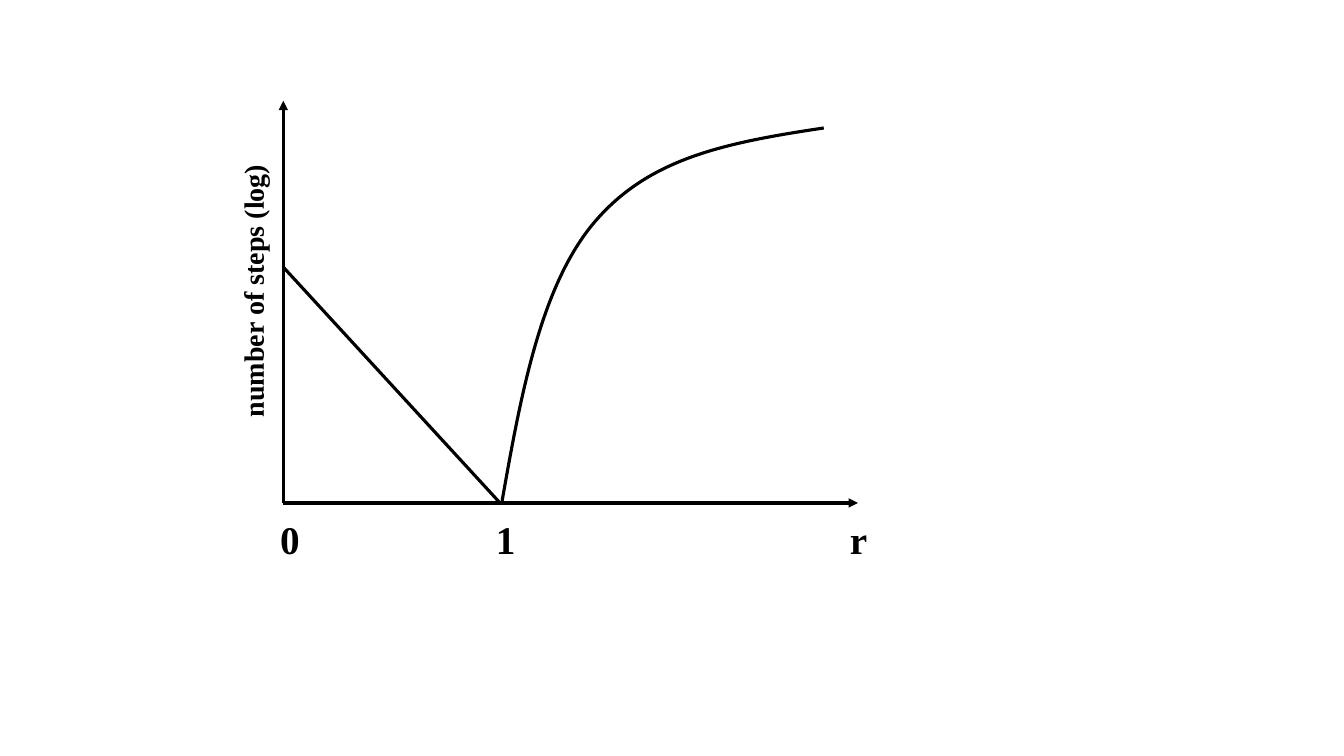
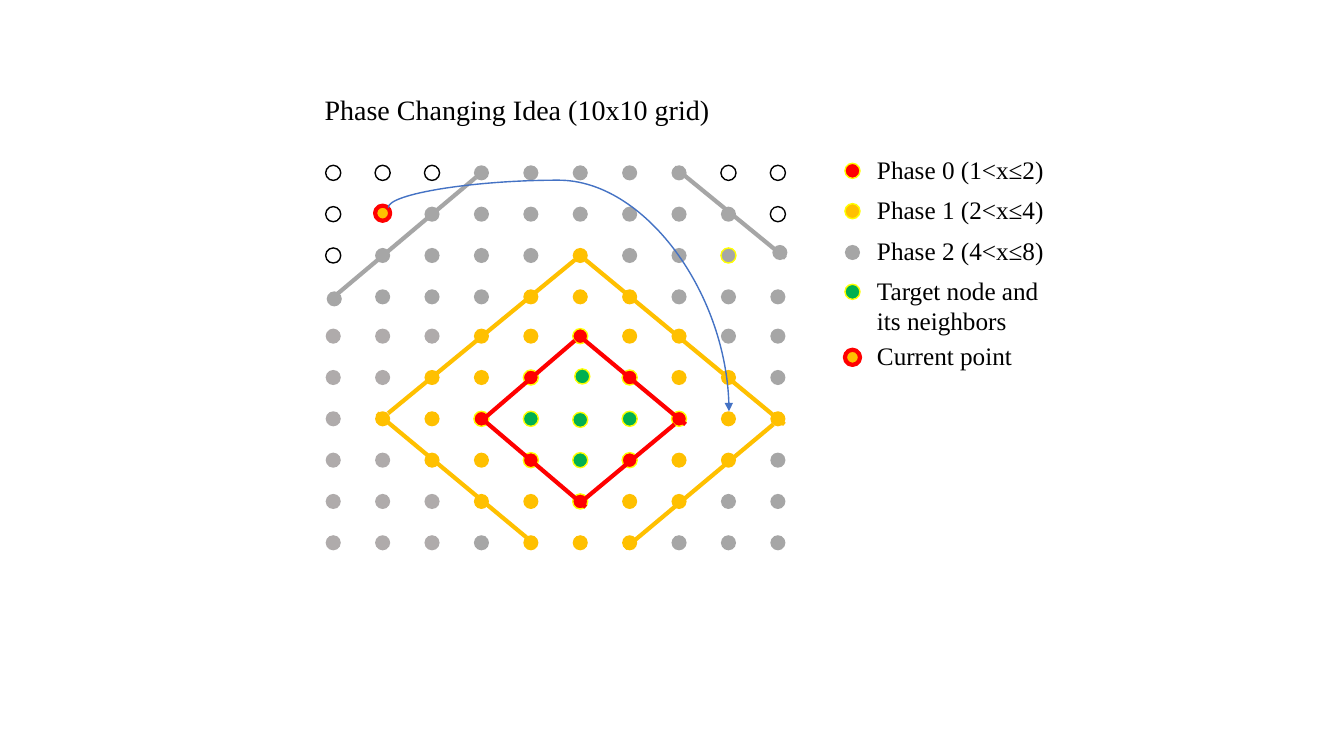
from dataclasses import dataclass

from lxml import etree
from pptx import Presentation
from pptx.dml.color import RGBColor
from pptx.enum.shapes import MSO_CONNECTOR, MSO_SHAPE
from pptx.oxml.ns import qn
from pptx.util import Inches, Pt

STRAIGHT = MSO_CONNECTOR.STRAIGHT
CURVE = MSO_CONNECTOR.CURVE
OVAL = MSO_SHAPE.OVAL


@dataclass(frozen=True)
class Theme:
    font: str = "Times New Roman"
    black: str = "000000"
    white: str = "FFFFFF"
    gray: str = "A6A6A6"
    stone: str = "AFABAB"
    gold: str = "FFC000"
    yellow: str = "FFFF00"
    red: str = "FF0000"
    green: str = "00B050"
    blue: str = "4472C4"
    mark: int = 28
    title: int = 20
    label: int = 18
    thin: float = 1
    axis: float = 2.25
    thick: float = 3


THEME = Theme()

DOTS = {
    "w": (THEME.white, THEME.black, THEME.thin),
    "a": (THEME.gray, None, 0),
    "s": (THEME.stone, None, 0),
    "y": (THEME.gold, None, 0),
    "p": (THEME.gold, THEME.yellow, THEME.thin),
    "r": (THEME.red, THEME.yellow, THEME.thin),
    "g": (THEME.green, THEME.yellow, THEME.thin),
    "h": (THEME.gray, THEME.yellow, THEME.thin),
    "c": (THEME.gold, THEME.red, THEME.thick),
}

GRID = (
    "wwwaaaaaww",
    "wcaaaaaaaw",
    "waaaayaaha",
    "aaaayyyaaa",
    "sssyyryyaa",
    "ssyyrgryya",
    "syyrgggryy",
    "ssyyrgryya",
    "sssyyryyaa",
    "sssayyyaaa",
)

NUDGE = {
    (1, 1): (0, -0.01),
    (2, 9): (0.02, -0.03),
    (3, 0): (0.01, 0.02),
    (5, 5): (0.02, -0.01),
    (6, 5): (0, 0.01),
}

LEGEND = (
    ("r", 1.48, "Phase 0 (1<x≤2)"),
    ("p", 1.88, "Phase 1 (2<x≤4)"),
    ("a", 2.29, "Phase 2 (4<x≤8)"),
    ("g", 2.68, "Target node and its neighbors"),
    ("c", 3.33, "Current point"),
)

BORDERS = (
    (THEME.gold, (
        ((3.85, 4.1), (5.7, 2.58)),
        ((3.74, 4.1), (5.22, 5.33)),
        ((6.2, 5.44), (7.67, 4.21)),
        ((7.78, 4.21), (5.81, 2.58)),
    )),
    (THEME.red, (
        ((5.81, 5.03), (4.74, 4.12)),
        ((6.8, 4.21), (5.72, 3.31)),
        ((5.7, 3.38), (4.78, 4.17)),
        ((6.69, 4.21), (5.8, 4.95)),
    )),
    (THEME.gray, (
        ((4.72, 1.76), (3.27, 2.98)),
        ((7.79, 2.56), (6.69, 1.66)),
    )),
)


class Deck:
    def __init__(self, theme):
        self.theme = theme
        self.show = Presentation()
        self.show.slide_width = Inches(13.33)
        self.show.slide_height = Inches(7.5)
        self.slide = None

    def page(self):
        self.slide = self.show.slides.add_slide(self.show.slide_layouts[6])

    def stroke(self, line, color, width):
        line.color.rgb = RGBColor.from_string(color)
        line.width = Pt(width)

    def line(self, start, end, color, width, arrow=False, kind=STRAIGHT):
        ends = [Inches(value) for value in (*start, *end)]
        link = self.slide.shapes.add_connector(kind, *ends)
        self.stroke(link.line, color, width)
        props = link.element.spPr
        if arrow:
            tip = etree.SubElement(props.find(qn("a:ln")), qn("a:tailEnd"))
            tip.set("type", "triangle")
        etree.SubElement(props, qn("a:effectLst"))
        return link

    def bend(self, start, end, turn, bulge, color, width):
        link = self.line(start, end, color, width, True, CURVE)
        props = link.element.spPr
        props.find(qn("a:xfrm")).set("rot", str(turn * 60000))
        guides = props.find(qn("a:prstGeom")).get_or_add_avLst()
        guide = etree.SubElement(guides, qn("a:gd"))
        guide.set("name", "adj1")
        guide.set("fmla", f"val {round(bulge * 100000)}")

    def arc(self, points, color, width):
        spots = [(Inches(x), Inches(y)) for x, y in points]
        pen = self.slide.shapes.build_freeform(*spots[0])
        pen.add_line_segments(spots[1:], close=False)
        shape = pen.convert_to_shape()
        shape.shadow.inherit = False
        shape.fill.background()
        self.stroke(shape.line, color, width)
        path = shape.element.find(".//" + qn("a:path"))
        steps = path.findall(qn("a:lnTo"))
        for i in range(0, len(steps), 3):
            cubic = etree.SubElement(path, qn("a:cubicBezTo"))
            for step in steps[i:i + 3]:
                cubic.append(step[0])
                path.remove(step)

    def dot(self, kind, left, top):
        fill, edge, width = DOTS[kind]
        size = Inches(0.15)
        shape = self.slide.shapes.add_shape(
            OVAL, Inches(left), Inches(top), size, size)
        shape.shadow.inherit = False
        shape.fill.solid()
        shape.fill.fore_color.rgb = RGBColor.from_string(fill)
        if edge:
            self.stroke(shape.line, edge, width)
        else:
            shape.line.fill.background()

    def text(self, words, box, size, bold=False, turn=0, wrap=True):
        shape = self.slide.shapes.add_textbox(*(Inches(v) for v in box))
        shape.rotation = turn
        frame = shape.text_frame
        frame.word_wrap = wrap
        para = frame.paragraphs[0]
        para.text = words
        para.font.name = self.theme.font
        para.font.size = Pt(size)
        para.font.bold = bold
        para.font.color.rgb = RGBColor.from_string(self.theme.black)


def steps(deck):
    deck.page()
    ink, width = THEME.black, THEME.axis
    zero = (2.81, 4.99)
    deck.line(zero, (2.81, 1), ink, width, True)
    deck.line(zero, (8.51, 4.99), ink, width, True)
    deck.line((2.81, 2.65), (4.96, 4.99), ink, width)
    deck.arc(((4.98, 4.97), (5.17, 3.89), (5.37, 2.82), (5.9, 2.2),
              (6.43, 1.58), (7.16, 1.42), (8.17, 1.27)), ink, width)
    for words, left, wide in (("0", 2.68, 0.25), ("1", 4.82, 0.25),
                              ("r", 8.33, 0.38)):
        deck.text(words, (left, 5.06, wide, 0.57), THEME.mark, True)
    deck.text("number of steps (log)", (1.15, 2.66, 2.72, 0.44),
              THEME.title, True, 270, False)


def phases(deck):
    deck.page()
    deck.text("Phase Changing Idea (10x10 grid)",
              (3.12, 0.87, 6.65, 0.44), THEME.title)
    for row, kinds in enumerate(GRID):
        top = 1.64 + 0.41 * row - (0.02 if row > 3 else 0)
        for col, kind in enumerate(kinds):
            right, down = NUDGE.get((row, col), (0, 0))
            deck.dot(kind, 3.23 + 0.49 * col + right, top + down)
    for kind, top, words in LEGEND:
        deck.dot(kind, 8.38, top + 0.14)
        tall = 0.71 if kind == "g" else 0.4
        wide = 2.04 if kind == "g" else 2.13
        deck.text(words, (8.6, top, wide, tall), THEME.label)
    for color, sides in BORDERS:
        for start, end in sides:
            deck.line(start, end, color, THEME.thick)
    deck.bend((6.55, 1.38), (4.53, 4.76), 270, -0.135,
              THEME.blue, THEME.thin)


def main():
    deck = Deck(THEME)
    steps(deck)
    phases(deck)
    deck.show.save("out.pptx")


if __name__ == "__main__":
    main()
